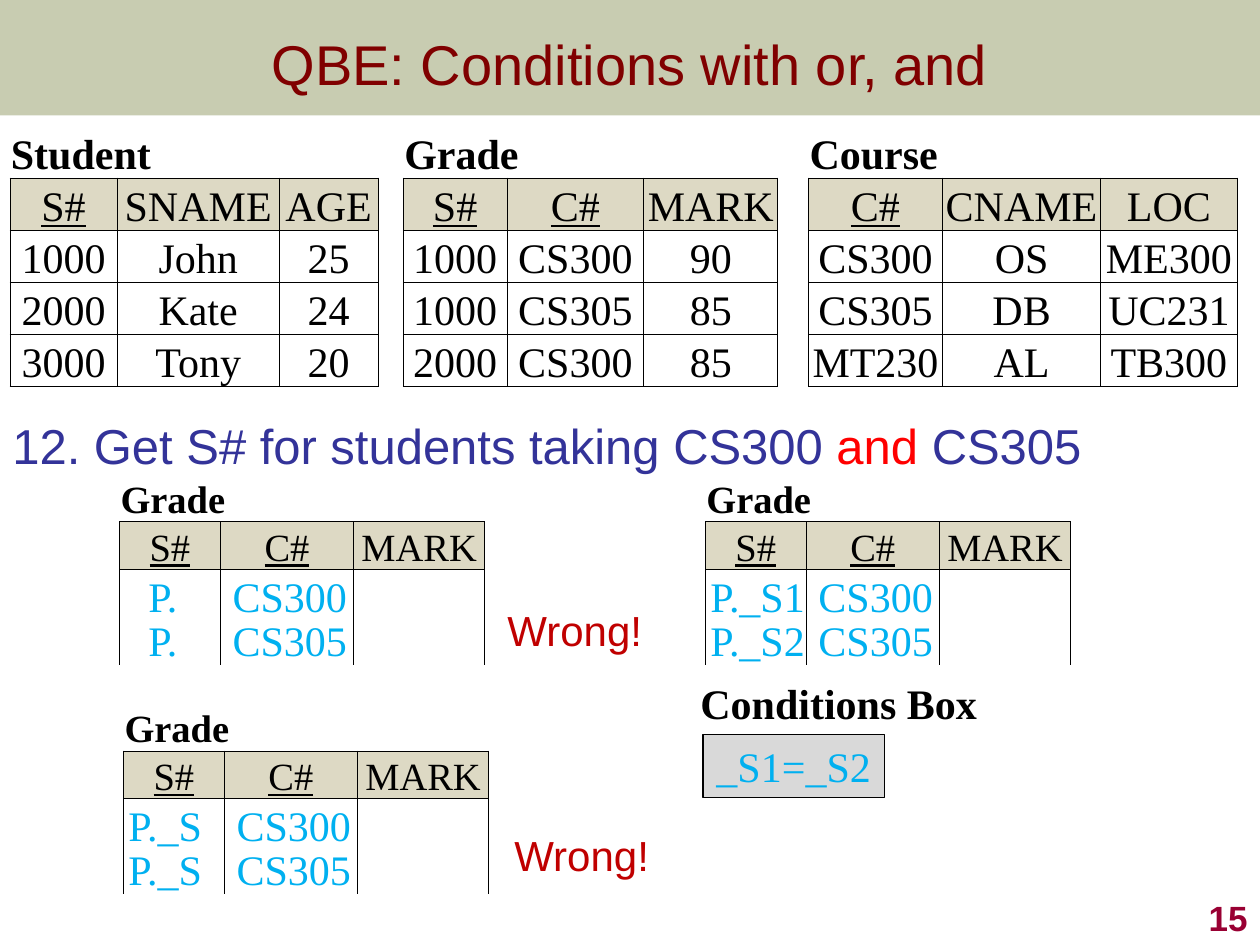
from lxml.etree import SubElement
from pptx import Presentation
from pptx.dml.color import RGBColor
from pptx.enum.shapes import MSO_SHAPE
from pptx.enum.text import MSO_ANCHOR, PP_ALIGN
from pptx.oxml import parse_xml
from pptx.oxml.ns import nsdecls, qn
from pptx.util import Cm, Pt

OLIVE = RGBColor(0x67, 0x72, 0x28)
MAROON = RGBColor(0x80, 0x00, 0x00)
NAVY = RGBColor(0x33, 0x33, 0x99)
RED = RGBColor(0xFF, 0x00, 0x00)
DARK_RED = RGBColor(0xC0, 0x00, 0x00)
CRIMSON = RGBColor(0x99, 0x00, 0x33)
SKY = RGBColor(0x00, 0xB0, 0xF0)
BLACK = RGBColor(0x00, 0x00, 0x00)
WHITE = RGBColor(0xFF, 0xFF, 0xFF)
GREY = RGBColor(0xD9, 0xD9, 0xD9)
BEIGE = RGBColor(0xDD, 0xD9, 0xC4)
SANS, SERIF = "Arial", "Times New Roman"

deck = Presentation()
deck.slide_width, deck.slide_height = Cm(25.4), Cm(19.05)
page = deck.slides.add_slide(deck.slide_layouts[6])


def write(frame, runs, size, font, bold=False, align=PP_ALIGN.LEFT, underline=False):
    """Fill the first paragraph with (text, colour) runs."""
    para = frame.paragraphs[0]
    para.alignment = align
    for text, colour in runs:
        span = para.add_run()
        span.text = text
        span.font.size, span.font.name = Pt(size), font
        span.font.bold, span.font.underline = bold, underline
        span.font.color.rgb = colour


def add_relations(left, top, widths, rows, size, row_height):
    """Draw relations of three columns side by side, with a gap column between."""
    frame = page.shapes.add_table(len(rows), len(widths), Cm(left), Cm(top),
                                  Cm(sum(widths)), Cm(row_height * len(rows)))
    table = frame.table
    table.first_row = table.horz_banding = False
    for column, width in zip(table.columns, widths):
        column.width = Cm(width)
    for r, texts in enumerate(rows):
        table.rows[r].height = Cm(row_height)
        is_open = not any(texts)
        for c, text in enumerate(texts):
            cell = table.cell(r, c)
            is_gap = c % 4 == 3
            cell.margin_left = cell.margin_right = cell.margin_top = Cm(0.02)
            cell.margin_bottom = 0
            cell.vertical_anchor = MSO_ANCHOR.BOTTOM
            cell.fill.solid()
            cell.fill.fore_color.rgb = BEIGE if r == 1 and not is_gap else WHITE
            if text:
                write(cell.text_frame, [(text, BLACK)], size, SERIF, bold=r == 0,
                      align=PP_ALIGN.LEFT if r == 0 else PP_ALIGN.CENTER,
                      underline=text.endswith("#"))
            # Borders
            if r == 0:
                sides = "" if is_gap else "B"
            elif is_gap:
                sides = "LR"
            elif is_open:
                sides = "LRT" if r == 2 else "LR"
            else:
                sides = "LRTB"
            properties = cell._tc.get_or_add_tcPr()
            for place, side in enumerate("LRTB"):
                paint = ('<a:solidFill><a:srgbClr val="000000"/></a:solidFill>'
                         if side in sides else "<a:noFill/>")
                properties.insert(place, parse_xml(
                    f'<a:ln{side} {nsdecls("a")} w="6350">{paint}</a:ln{side}>'))
    for c in range(0, len(widths), 4):
        table.cell(0, c).merge(table.cell(0, c + 2))


# Title band
band = page.shapes.add_shape(MSO_SHAPE.RECTANGLE, 0, 0, deck.slide_width, Cm(2.33))
band.shadow.inherit = False
band.line.fill.background()
band.fill.solid()
band.fill.fore_color.rgb = OLIVE
tint = band.fill._xPr.find(qn("a:solidFill"))[0]
SubElement(tint, qn("a:alpha")).set("val", "36000")

# Title, question and page number
for left, top, width, height, runs, size, bold, align, anchor in [
    (0, 0, 25.4, 2.54, [("QBE: Conditions with or, and", MAROON)],
     32, False, PP_ALIGN.CENTER, MSO_ANCHOR.MIDDLE),
    (0, 8.26, 25.4, 1.5, [("12. Get S# for students taking CS300", NAVY),
                          (" and ", RED), ("CS305", NAVY)],
     28, False, PP_ALIGN.LEFT, MSO_ANCHOR.TOP),
    (20.12, 17.78, 5.28, 1.27, [("15", CRIMSON)],
     20, True, PP_ALIGN.RIGHT, MSO_ANCHOR.BOTTOM),
]:
    box = page.shapes.add_textbox(Cm(left), Cm(top), Cm(width), Cm(height))
    box.text_frame.word_wrap = True
    box.text_frame.vertical_anchor = anchor
    write(box.text_frame, runs, size, SANS, bold, align)

# Sample data
add_relations(0.2, 2.54,
              [2.16, 3.27, 1.99, 0.51, 2.09, 2.76, 2.7, 0.62, 2.7, 3.19, 2.75], [
                  ["Student", "", "", "", "Grade", "", "", "", "Course", "", ""],
                  ["S#", "SNAME", "AGE", "", "S#", "C#", "MARK", "", "C#", "CNAME", "LOC"],
                  ["1000", "John", "25", "", "1000", "CS300", "90", "", "CS300", "OS", "ME300"],
                  ["2000", "Kate", "24", "", "1000", "CS305", "85", "", "CS305", "DB", "UC231"],
                  ["3000", "Tony", "20", "", "2000", "CS300", "85", "", "MT230", "AL", "TB300"],
              ], 24, 1.05)

# Query skeletons, each with two example rows on top
labels = []
for left, top, entry_offset, entries in [
    (2.41, 9.56, 0.33, ["P.", "P."]),
    (14.22, 9.56, -0.15, ["P._S1", "P._S2"]),
    (2.49, 14.18, -0.15, ["P._S", "P._S"]),
]:
    add_relations(left, top, [2.03, 2.69, 2.64],
                  [["Grade", "", ""], ["S#", "C#", "MARK"], [""] * 3, [""] * 3], 22, 0.96)
    for row, (entry, course) in enumerate(zip(entries, ["CS300", "CS305"])):
        y = top + 1.82 + 0.88 * row
        labels.append((left + entry_offset, y, 2.44, entry, SERIF, SKY, False))
        labels.append((left + 2.03, y, 2.84, course, SERIF, SKY, False))

# Remarks and query entries
labels += [
    (9.98, 12.07, 3.25, "Wrong!", SANS, DARK_RED, False),
    (10.12, 16.59, 3.25, "Wrong!", SANS, DARK_RED, False),
    (13.87, 13.53, 6.15, "Conditions Box", SERIF, BLACK, True),
]
for left, top, width, text, font, colour, bold in labels:
    box = page.shapes.add_textbox(Cm(left), Cm(top), Cm(width), Cm(1.27))
    box.text_frame.word_wrap = True
    write(box.text_frame, [(text, colour)], 24, font, bold)

# Condition
condition = page.shapes.add_shape(MSO_SHAPE.RECTANGLE, Cm(14.17), Cm(14.81), Cm(3.66), Cm(1.27))
condition.shadow.inherit = False
condition.fill.solid()
condition.fill.fore_color.rgb = GREY
condition.line.color.rgb = BLACK
condition.line.width = Pt(0.75)
condition.text_frame.word_wrap = False
write(condition.text_frame, [("_S1=_S2", SKY)], 24, SERIF, align=PP_ALIGN.CENTER)

deck.save("out.pptx")
